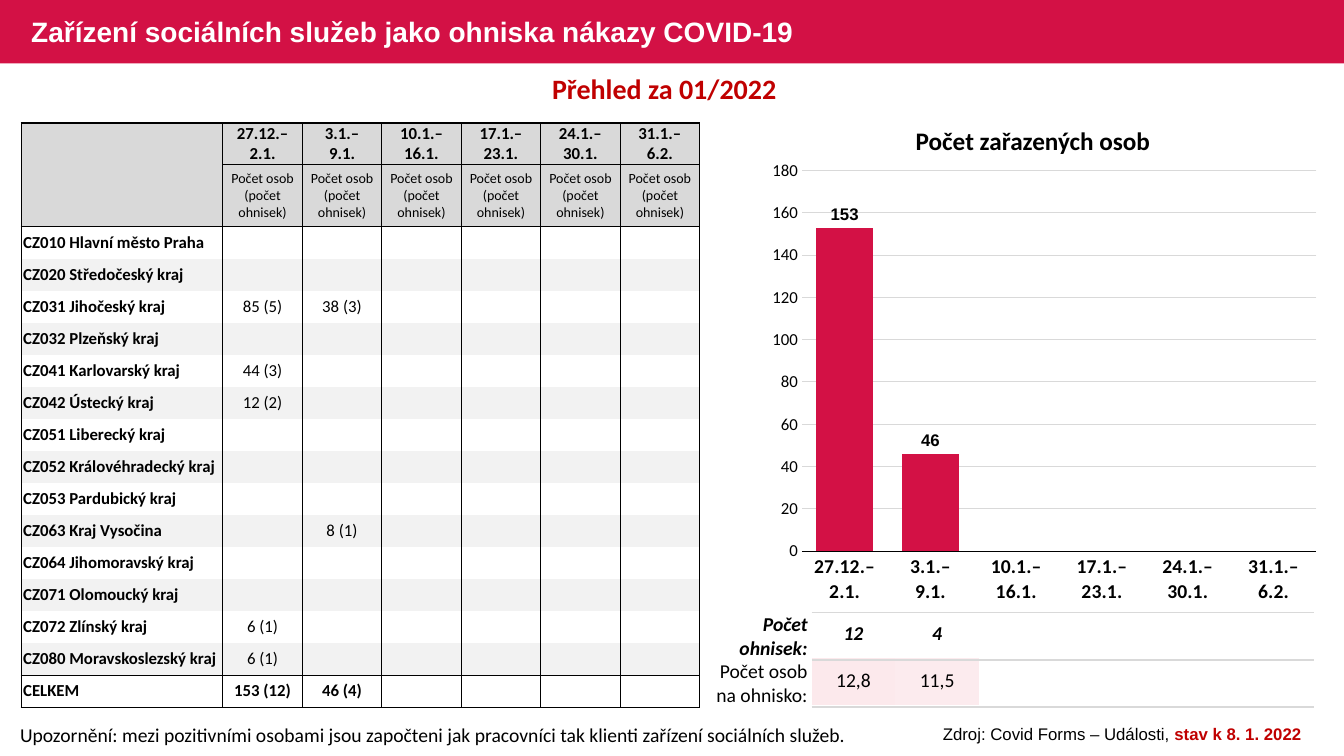
import lxml.etree
import pptx
import pptx.chart.data
import pptx.dml.color
import pptx.enum.chart
import pptx.enum.shapes
import pptx.enum.text
import pptx.oxml
import pptx.oxml.ns
import pptx.util

Inches = pptx.util.Inches
Pt = pptx.util.Pt
RGBColor = pptx.dml.color.RGBColor
Align = pptx.enum.text.PP_ALIGN
Anchor = pptx.enum.text.MSO_ANCHOR

CRIMSON = RGBColor(0xD3, 0x11, 0x45)
DARK_RED = RGBColor(0xC0, 0x00, 0x00)
BLACK = RGBColor(0x00, 0x00, 0x00)
WHITE = RGBColor(0xFF, 0xFF, 0xFF)
HEADER_GRAY = RGBColor(0xD9, 0xD9, 0xD9)
BAND_GRAY = RGBColor(0xF2, 0xF2, 0xF2)
PALE_PINK = RGBColor(0xFC, 0xE9, 0xEC)
PALER_PINK = RGBColor(0xFC, 0xEB, 0xEE)

WEEKS = ["27.12.–\n2.1.", "3.1.–\n9.1.", "10.1.–\n16.1.",
         "17.1.–\n23.1.", "24.1.–\n30.1.", "31.1.–\n6.2."]
REGIONS = [
    ("CZ010 Hlavní město Praha", []),
    ("CZ020 Středočeský kraj", []),
    ("CZ031 Jihočeský kraj", ["85 (5)", "38 (3)"]),
    ("CZ032 Plzeňský kraj", []),
    ("CZ041 Karlovarský kraj", ["44 (3)"]),
    ("CZ042 Ústecký kraj", ["12 (2)"]),
    ("CZ051 Liberecký kraj", []),
    ("CZ052 Královéhradecký kraj", []),
    ("CZ053 Pardubický kraj", []),
    ("CZ063 Kraj Vysočina", ["", "8 (1)"]),
    ("CZ064 Jihomoravský kraj", []),
    ("CZ071 Olomoucký kraj", []),
    ("CZ072 Zlínský kraj", ["6 (1)"]),
    ("CZ080 Moravskoslezský kraj", ["6 (1)"]),
    ("CELKEM", ["153 (12)", "46 (4)"]),
]


def style_font(font, size, color=BLACK, name="Calibri", bold=False, italic=False):
    font.size, font.name, font.bold, font.italic = Pt(size), name, bold, italic
    font.color.rgb = color


def add_text(slide, box, runs, align, size, color=BLACK, name="Calibri", bold=False):
    frame = slide.shapes.add_textbox(*map(Inches, box)).text_frame
    frame.word_wrap = True
    paragraph = frame.paragraphs[0]
    paragraph.alignment = align
    style_font(paragraph.font, size, color, name, bold)
    for text in runs:
        paragraph.add_run().text = text
    return paragraph


def add_plain_table(slide, box, widths, heights):
    left, top, _, _ = box
    frame = slide.shapes.add_table(len(heights), len(widths), Inches(left), Inches(top),
                                   Inches(sum(widths)), Inches(sum(heights)))
    table = frame.table
    table.first_row = table.horz_banding = False
    for column, width in zip(table.columns, widths):
        column.width = Inches(width)
    for row, height in zip(table.rows, heights):
        row.height = Inches(height)
    return table


def fill_cell(cell, text, size, borders, fill=None, align=Align.CENTER,
              margins=(0.01, 0.01), bold=False, italic=False):
    """borders maps the sides L, R, T, B to a line width in points and a colour."""
    properties = cell._tc.get_or_add_tcPr()
    for side in "LRTB":
        line = lxml.etree.SubElement(properties, pptx.oxml.ns.qn("a:ln" + side))
        if side in borders:
            width, color = borders[side]
            line.set("w", str(Pt(width)))
            solid = lxml.etree.SubElement(line, pptx.oxml.ns.qn("a:solidFill"))
            lxml.etree.SubElement(solid, pptx.oxml.ns.qn("a:srgbClr")).set("val", str(color))
        else:
            lxml.etree.SubElement(line, pptx.oxml.ns.qn("a:noFill"))
    if fill is None:
        cell.fill.background()
    else:
        cell.fill.solid()
        cell.fill.fore_color.rgb = fill
    cell.margin_left, cell.margin_right = map(Inches, margins)
    cell.margin_top = cell.margin_bottom = 0
    cell.vertical_anchor = Anchor.MIDDLE
    paragraph = cell.text_frame.paragraphs[0]
    paragraph.text = text
    paragraph.alignment = align
    style_font(paragraph.font, size, bold=bold, italic=italic)


def add_header(slide, box):
    left, top, width, height = box
    bar = slide.shapes.add_shape(pptx.enum.shapes.MSO_SHAPE.RECTANGLE, *map(Inches, box))
    bar.shadow.inherit = False
    bar.fill.solid()
    bar.fill.fore_color.rgb = CRIMSON
    bar.line.fill.background()
    title = slide.shapes.title
    title.element.addprevious(bar.element)  # the bar lies behind the title
    title.left, title.top = Inches(left + 0.21), Inches(top + 0.02)
    title.width, title.height = Inches(8.13), Inches(height)
    frame = title.text_frame
    frame.auto_size = pptx.enum.text.MSO_AUTO_SIZE.NONE
    frame.vertical_anchor = Anchor.MIDDLE
    paragraph = frame.paragraphs[0]
    paragraph.text = "Zařízení sociálních služeb jako ohniska nákazy COVID-19"
    paragraph.alignment = Align.LEFT
    paragraph.line_spacing = 0.9
    style_font(paragraph.font, 20, WHITE, "Arial", bold=True)


def add_region_table(slide, box):
    _, _, width, height = box
    week_width = (width - 2) / len(WEEKS)
    row_height = (height - 0.41 - 0.62) / len(REGIONS)
    table = add_plain_table(slide, box, [2] + [week_width] * len(WEEKS),
                            [0.41, 0.62] + [row_height] * len(REGIONS))
    thick, thin = (1, BLACK), (0.5, BLACK)
    sides = {"L": thick, "R": thick}
    # Two header rows
    for column, week in enumerate([""] + WEEKS):
        top = sides | {"T": thick}
        bottom = sides | {"B": thin}
        if week:
            top, bottom = top | {"B": thick}, bottom | {"T": thick}
        fill_cell(table.cell(0, column), week, 12, top, HEADER_GRAY, bold=True)
        fill_cell(table.cell(1, column), "Počet osob (počet ohnisek)" if week else "",
                  10, bottom, HEADER_GRAY)
    # Regions and the total
    for index, (region, counts) in enumerate(REGIONS):
        total = index == len(REGIONS) - 1
        borders = dict(sides)
        if index == 0:
            borders["T"] = thin
        if total:
            borders["T"] = borders["B"] = thick
        elif index == len(REGIONS) - 2:
            borders["B"] = thick
        fill = BAND_GRAY if index % 2 else None
        fill_cell(table.cell(index + 2, 0), region, 12, borders, fill, Align.LEFT,
                  (0.02, 0.02), bold=True)
        for week in range(len(WEEKS)):
            text = counts[week] if week < len(counts) else ""
            fill_cell(table.cell(index + 2, week + 1), text, 12, borders, fill, bold=total)


def add_people_chart(slide, box):
    data = pptx.chart.data.CategoryChartData()
    data.categories = WEEKS
    data.add_series("Počet osob", [153, 46, None, None, None, None])
    chart = slide.shapes.add_chart(pptx.enum.chart.XL_CHART_TYPE.COLUMN_CLUSTERED,
                                   *map(Inches, box), data).chart
    chart.has_legend = chart.has_title = False
    style_font(chart.font, 14, name="Arial", bold=True)
    plot = chart.plots[0]
    plot.gap_width = 50
    plot.vary_by_categories = False
    series = plot.series[0]
    series.format.fill.solid()
    series.format.fill.fore_color.rgb = CRIMSON
    labels = series.data_labels
    labels.show_value = True
    labels.position = pptx.enum.chart.XL_LABEL_POSITION.OUTSIDE_END
    style_font(labels.font, 12, name="Arial", bold=True)
    # Axes
    for axis, size, bold in ((chart.category_axis, 14, True), (chart.value_axis, 12, False)):
        axis.major_tick_mark = axis.minor_tick_mark = pptx.enum.chart.XL_TICK_MARK.NONE
        style_font(axis.tick_labels.font, size, bold=bold)
    chart.category_axis.format.line.color.rgb = BLACK
    chart.category_axis.format.line.width = Pt(0.75)
    values = chart.value_axis
    values.minimum_scale, values.maximum_scale, values.major_unit = 0, 180, 20
    values.format.line.fill.background()
    values.major_gridlines.format.line.color.rgb = HEADER_GRAY
    values.major_gridlines.format.line.width = Pt(0.75)
    # Fixed plot area, in shares of the chart
    area = chart._chartSpace.chart.plotArea
    for layout in area.findall(pptx.oxml.ns.qn("c:layout")):
        area.remove(layout)
    area.insert(0, pptx.oxml.parse_xml(
        f'<c:layout {pptx.oxml.ns.nsdecls("c")}><c:manualLayout><c:layoutTarget val="inner"/>'
        '<c:xMode val="edge"/><c:yMode val="edge"/><c:x val="0.07"/><c:y val="0.04"/>'
        '<c:w val="0.91"/><c:h val="0.83"/></c:manualLayout></c:layout>'))


def add_outbreak_tables(slide, box):
    left, top, width, height = box
    heights = [height / 2] * 2
    # Values per week
    rows = [(["12", "4"], [None, None], True), (["12,8", "11,5"], [PALE_PINK, PALER_PINK], False)]
    value_width = (width - 1.01) / len(WEEKS)
    values = add_plain_table(slide, (left + 1.01, top - 0.02, 0, 0),
                             [value_width] * len(WEEKS), heights)
    for row, (texts, fills, strong) in enumerate(rows):
        for column in range(len(WEEKS)):
            shown = column < len(texts)
            fill_cell(values.cell(row, column), texts[column] if shown else "", 14, {},
                      fills[column] if shown else None, bold=strong, italic=strong)
    # Row labels and rules
    labels = add_plain_table(slide, box, [1.01] + [(width - 1.01) / 7] * 7, heights)
    rule = (1, HEADER_GRAY)
    for row, text in enumerate(["Počet ohnisek:", "Počet osob na ohnisko:"]):
        strong = row == 0
        fill_cell(labels.cell(row, 0), text, 14, {}, None, Align.RIGHT, (0.01, 0.04),
                  bold=strong, italic=strong)
        for column in range(1, 8):
            fill_cell(labels.cell(row, column), "", 14, {"T": rule, "B": rule})


def add_footer(slide, box):
    left, top, width, height = box
    add_text(slide, (left, top, 8.52, height),
             ["Upozornění: mezi pozitivními osobami jsou započteni jak pracovníci "
              "tak klienti zařízení sociálních služeb."], Align.LEFT, 14)
    source = add_text(slide, (left + width - 4.2, top + 0.01, 4.2, 0.3),
                      ["Zdroj: Covid Forms – Události, ", "stav k 8. 1. 2022"],
                      Align.CENTER, 12, name="Arial")
    style_font(source.runs[1].font, 12, DARK_RED, "Arial", bold=True)


def main():
    presentation = pptx.Presentation()
    presentation.slide_width, presentation.slide_height = Inches(13.33), Inches(7.5)
    slide = presentation.slides.add_slide(presentation.slide_layouts[5])
    add_header(slide, (0, 0, 13.33, 0.63))
    add_text(slide, (0.21, 0.66, 12.82, 0.44), ["Přehled za 01/2022 "], Align.CENTER, 20,
             DARK_RED, bold=True)
    add_region_table(slide, (0.21, 1.22, 6.73, 5.8))
    add_people_chart(slide, (7.56, 1.51, 5.61, 4.55))
    add_text(slide, (7.56, 1.19, 5.37, 0.4), ["Počet zařazených osob"], Align.CENTER, 18,
             bold=True)
    add_outbreak_tables(slide, (7.04, 6.08, 5.99, 0.93))
    add_footer(slide, (0.1, 7.12, 13.13, 0.34))
    presentation.save("out.pptx")


if __name__ == "__main__":
    main()
